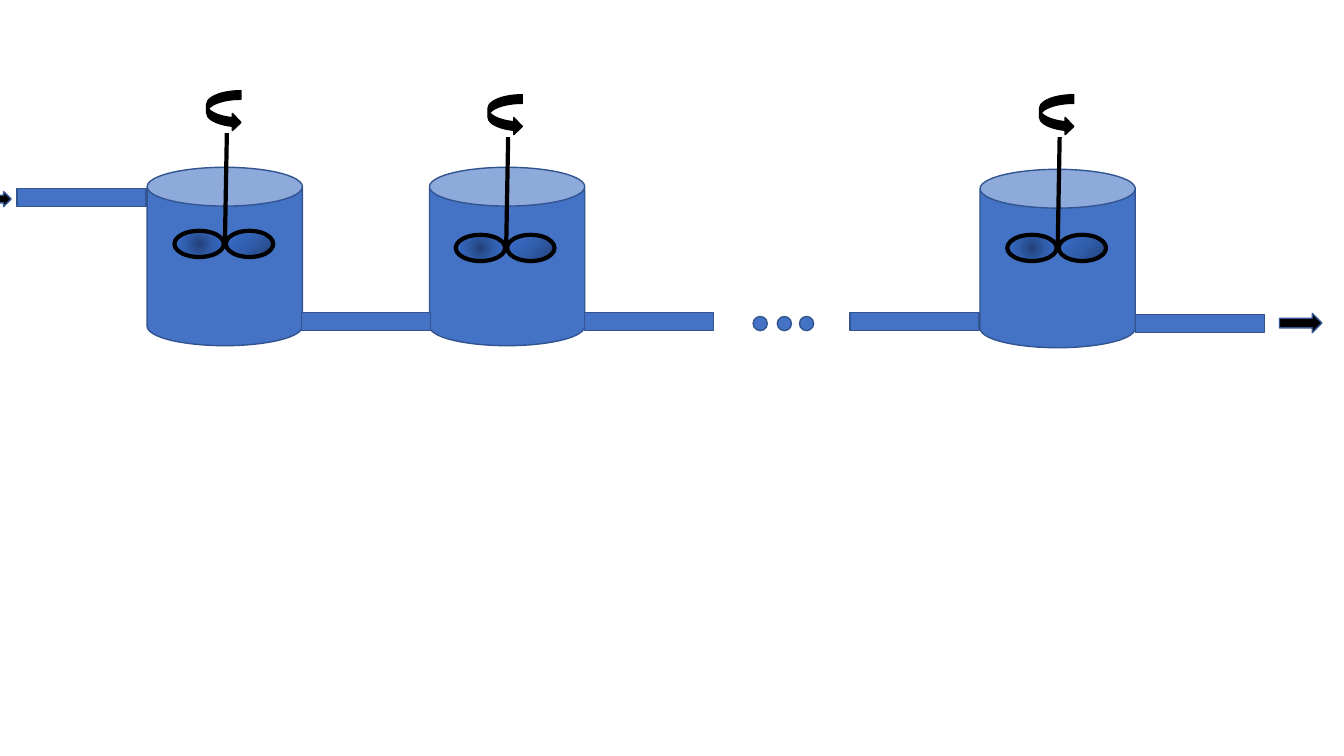
from lxml import etree
from pptx import Presentation
from pptx.dml.color import RGBColor
from pptx.enum.shapes import MSO_CONNECTOR, MSO_SHAPE
from pptx.oxml import parse_xml
from pptx.oxml.ns import qn
from pptx.util import Inches, Pt

CAN, PIPE, DOT = MSO_SHAPE.CAN, MSO_SHAPE.RECTANGLE, MSO_SHAPE.OVAL
ARROW, SPIN = MSO_SHAPE.RIGHT_ARROW, MSO_SHAPE.CURVED_RIGHT_ARROW
STRAIGHT = MSO_CONNECTOR.STRAIGHT

BLUE = RGBColor(0x44, 0x72, 0xC4)
EDGE = RGBColor(0x32, 0x54, 0x91)
BLACK = RGBColor(0, 0, 0)
STOPS = [(0, "23427A"), (50, "315EAD"), (100, "3A6FCE")]
ROUND = ('<a:path path="circle"><a:fillToRect l="50000" t="50000" '
         'r="50000" b="50000"/></a:path>')
SLANT = '<a:lin ang="13500000" scaled="1"/>'


def add(owner, kind, x, y, w, h, fill=BLUE, edge=EDGE, width=1):
    shape = owner.add_shape(kind, Inches(x), Inches(y), Inches(w), Inches(h))
    shape.shadow.inherit = False
    shape.fill.solid()
    shape.fill.fore_color.rgb = fill
    shape.line.color.rgb = edge
    shape.line.width = Pt(width)
    return shape


def shade(shape, style):
    stops = "".join(f'<a:gs pos="{pos * 1000}"><a:srgbClr val="{color}"/></a:gs>'
                    for pos, color in STOPS)
    grad = parse_xml(
        '<a:gradFill xmlns:a="http://schemas.openxmlformats.org/drawingml/2006/main" '
        f'rotWithShape="1"><a:gsLst>{stops}</a:gsLst>{style}</a:gradFill>')
    props = shape.fill._xPr
    props.replace(props.find(qn("a:solidFill")), grad)


prs = Presentation()
prs.slide_width, prs.slide_height = Inches(13.33), Inches(7.5)
shapes = prs.slides.add_slide(prs.slide_layouts[6]).shapes

# Tanks
for x, y in [(1.46, 1.66), (4.26, 1.66), (9.72, 1.68)]:
    add(shapes, CAN, x, y, 1.54, 1.77)

# Pipes
for x, y in [(0.17, 1.87), (2.99, 3.1), (5.8, 3.1), (8.43, 3.1), (11.26, 3.12)]:
    add(shapes, PIPE, x, y, 1.28, 0.18)

# Inlet and outlet arrows
add(shapes, ARROW, -0.18, 1.9, 0.29, 0.15, BLACK)
add(shapes, ARROW, 12.69, 3.11, 0.42, 0.19, BLACK)

# Stirrers: rod, two blades and turning arrow
for x, y in [(1.73, 0.9), (4.52, 0.94), (9.99, 0.94)]:
    group = shapes.add_group_shape().shapes
    rod = group.add_connector(STRAIGHT, Inches(x + 0.52), Inches(y + 0.42),
                              Inches(x + 0.5), Inches(y + 1.55))
    rod.line.color.rgb = BLACK
    rod.line.width = Pt(3)
    etree.SubElement(rod._element.spPr, qn("a:effectLst"))
    for shift, wide, style in [(0, 0.49, ROUND), (0.51, 0.47, SLANT)]:
        blade = add(group, DOT, x + shift, y + 1.39, wide, 0.26, BLUE, BLACK, 3)
        shade(blade, style)
    add(group, SPIN, x + 0.32, y, 0.34, 0.4, BLACK, BLACK)

# Dots for the tanks in between
for x in (7.47, 7.71, 7.93):
    add(shapes, DOT, x, 3.14, 0.14, 0.14)

prs.save("out.pptx")
